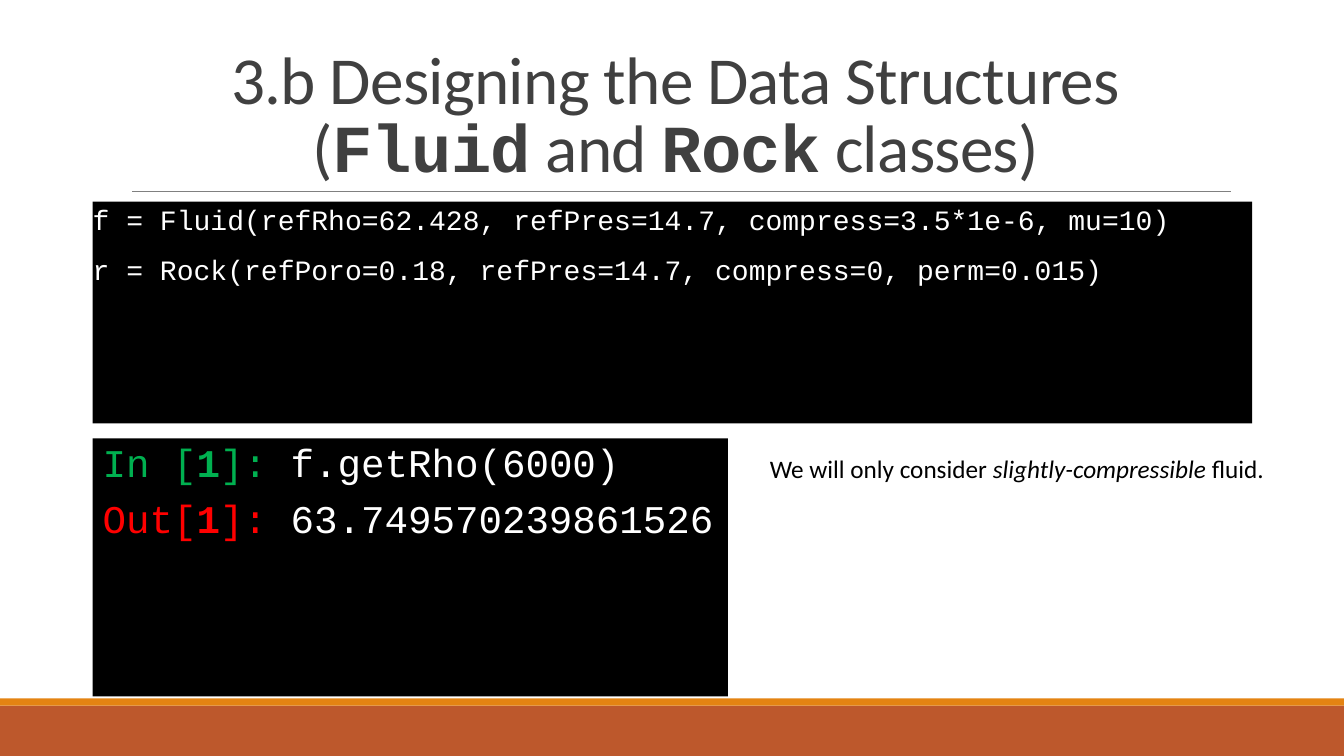
from lxml import etree
from pptx import Presentation
from pptx import util as u
from pptx.dml.color import RGBColor
from pptx.enum import shapes, text
from pptx.oxml.ns import qn

SANS, MONO = "Calibri", "Courier New"
BLACK, WHITE, GREY = "000000", "FFFFFF", "404040"
GREEN, RED = "00B050", "FF0000"


def rgb(value):
    return RGBColor.from_string(value)


def inches(box):
    return [u.Inches(length) for length in box]


def write(paragraph, runs, layout, **base):
    """Add (text, changes) runs; each run's font is base plus its changes."""
    for key, value in layout.items():
        setattr(paragraph, key, value)
    for words, changes in runs:
        run = paragraph.add_run()
        run.text = words
        look = {**base, **changes}
        run.font.color.rgb = rgb(look.pop("color"))
        for key, value in look.items():
            setattr(run.font, key, value)


def set_frame(frame, margins=(0.1, 0.05), **settings):
    side, end = inches(margins)
    settings.update(margin_left=side, margin_right=side,
                    margin_top=end, margin_bottom=end)
    for key, value in settings.items():
        setattr(frame, key, value)


def add_block(slide, box, fill):
    block = slide.shapes.add_shape(shapes.MSO_SHAPE.RECTANGLE, *inches(box))
    block.shadow.inherit = False
    block.fill.solid()
    block.fill.fore_color.rgb = rgb(fill)
    block.line.fill.background()
    return block


def add_footer(slide, box):
    left, top, width, height = box
    stripe = 0.07
    add_block(slide, (left, top + stripe, width, height - stripe), "BD582C")
    add_block(slide, (left, top, width, stripe), "E48312")


def add_title(slide, box):
    left, top, width, height = box
    bottom = top + height
    rule = slide.shapes.add_connector(
        shapes.MSO_CONNECTOR.STRAIGHT,
        *inches((left + 0.11, bottom, left + width + 0.01, bottom)))
    rule.line.color.rgb = rgb("808080")
    rule.line.width = u.Pt(0.5)
    etree.SubElement(rule._element.spPr, qn("a:effectLst"))

    title = slide.shapes.title
    title.left, title.top, title.width, title.height = inches(box)
    frame = title.text_frame
    set_frame(frame, word_wrap=True, auto_size=text.MSO_AUTO_SIZE.NONE,
              vertical_anchor=text.MSO_ANCHOR.BOTTOM)
    heading = frame.paragraphs[0]
    layout = dict(alignment=text.PP_ALIGN.CENTER, line_spacing=0.85)
    base = dict(name=SANS, size=u.Pt(48), color=GREY, bold=False)
    class_name = dict(name=MONO, bold=True)
    write(heading, [("3.b Designing the Data Structures", {})], layout, **base)
    heading.add_line_break()
    write(heading, [("(", {}), ("Fluid", class_name), (" and ", {}),
                    ("Rock", class_name), (" classes)", {})], layout, **base)
    for run in heading.runs:
        run.font._element.set("spc", "-50")


def add_code(slide, box, lines, size, before, after=0, margins=(0.1, 0.05)):
    frame = add_block(slide, box, BLACK).text_frame
    set_frame(frame, margins, word_wrap=True,
              vertical_anchor=text.MSO_ANCHOR.TOP)
    for index, runs in enumerate(lines):
        line = frame.add_paragraph() if index else frame.paragraphs[0]
        layout = dict(alignment=text.PP_ALIGN.LEFT, line_spacing=0.9,
                      space_before=u.Pt(before if index else 0),
                      space_after=u.Pt(after))
        write(line, runs, layout, name=MONO, size=u.Pt(size), color=WHITE)


def prompt_line(opening, closing, colour, code):
    tint = dict(color=colour)
    return [(opening, tint), ("1", dict(color=colour, bold=True)),
            (closing, tint), (code, {})]


def add_note(slide, box):
    frame = slide.shapes.add_textbox(*inches(box)).text_frame
    set_frame(frame, word_wrap=False,
              auto_size=text.MSO_AUTO_SIZE.SHAPE_TO_FIT_TEXT)
    write(frame.paragraphs[0],
          [("We will only consider ", {}),
           ("slightly-compressible", dict(italic=True)), (" fluid.", {})],
          dict(alignment=text.PP_ALIGN.CENTER),
          name=SANS, size=u.Pt(18), color=BLACK)


def main():
    deck = Presentation()
    deck.slide_width, deck.slide_height = inches((13.33, 7.5))
    slide = deck.slides.add_slide(deck.slide_layouts[5])
    constructors = [
        [("f = Fluid(refRho=62.428, refPres=14.7, compress=3.5*1e-6, mu=10)", {})],
        [("r = Rock(refPoro=0.18, refPres=14.7, compress=0, perm=0.015)", {})],
    ]
    session = [
        prompt_line("In [", "]: ", GREEN, "f.getRho(6000)"),
        prompt_line("Out[", "]:", RED, " 63.749570239861526"),
    ]
    add_footer(slide, (0, 6.93, 13.33, 0.57))
    add_title(slide, (1.2, 0.31, 11, 1.59))
    add_code(slide, (0.92, 2, 11.5, 2.2), constructors, size=20,
             before=12, after=2, margins=(0, 0.05))
    add_code(slide, (0.92, 4.35, 6.3, 2.56), session, size=28, before=10)
    add_note(slide, (7.5, 4.45, 5.17, 0.4))
    deck.save("out.pptx")


if __name__ == "__main__":
    main()
